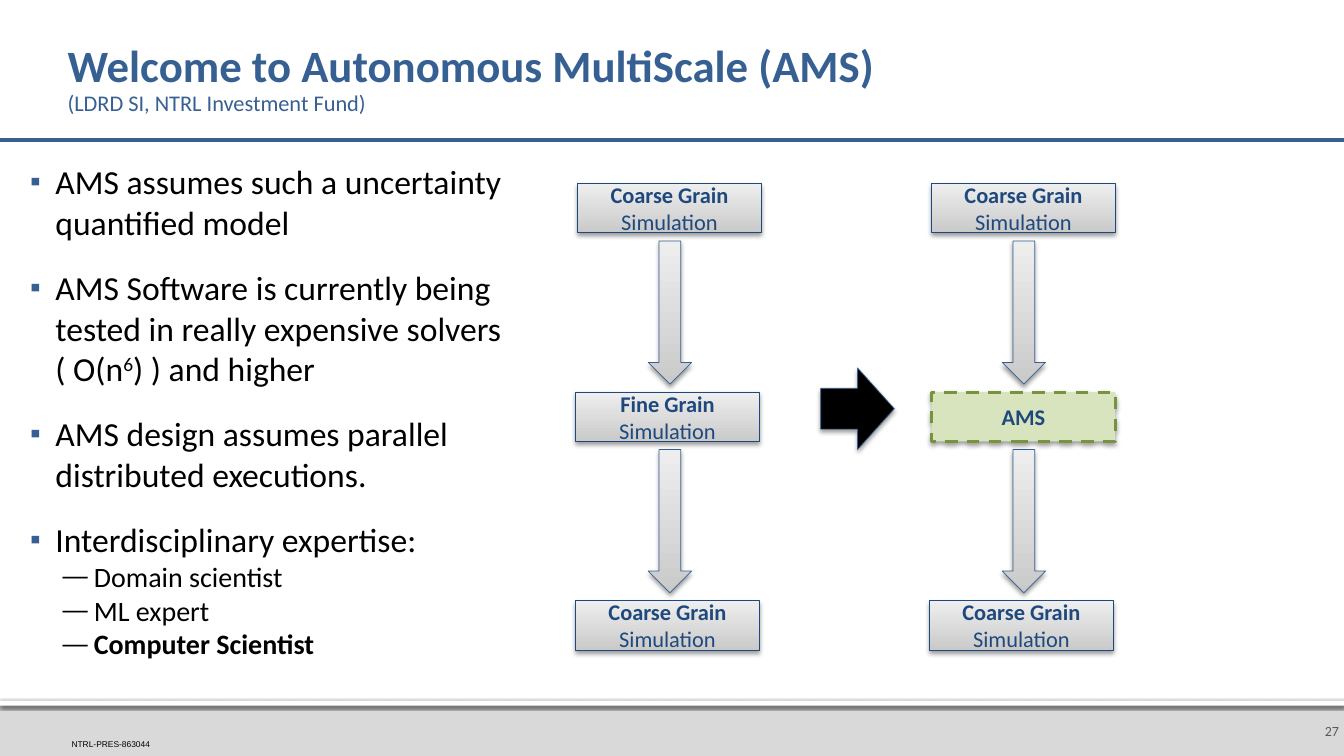
from lxml.etree import SubElement
from pptx import Presentation
from pptx.dml.color import RGBColor
from pptx.enum.dml import MSO_LINE
from pptx.enum.shapes import MSO_CONNECTOR, MSO_SHAPE as SHAPE
from pptx.enum.text import MSO_ANCHOR as ANCHOR, MSO_AUTO_SIZE, PP_ALIGN as ALIGN
from pptx.oxml.ns import qn
from pptx.util import Inches, Pt

BLACK = RGBColor(0x00, 0x00, 0x00)
WHITE = RGBColor(0xFF, 0xFF, 0xFF)
BLUE = RGBColor(0x37, 0x60, 0x92)
NAVY = RGBColor(0x1F, 0x49, 0x7D)
GRAY = RGBColor(0x59, 0x59, 0x59)
FOOTER_GRAY = RGBColor(0xD9, 0xD9, 0xD9)
DARK_SILVER = RGBColor(0xCA, 0xCA, 0xCA)
LIGHT_SILVER = RGBColor(0xEE, 0xEE, 0xEE)
LIGHT_GREEN = RGBColor(0xD7, 0xE4, 0xBD)
GREEN = RGBColor(0x77, 0x93, 0x3C)

POINTS = [
    (0, ["AMS assumes such a uncertainty quantified model"]),
    (0, ["AMS Software is currently being tested in really expensive solvers ( O(n",
         "6", ") ) and higher"]),
    (0, ["AMS design assumes parallel distributed executions."]),
    (0, ["Interdisciplinary expertise:"]),
    (1, ["Domain scientist"]),
    (1, ["ML expert"]),
    (1, ["Computer Scientist"]),
]
COLUMN_X = (5.71, 9.22)
ROW_Y = (1.82, 3.89, 5.96)


def style(r, size, color, bold=False, name="Calibri"):
    f = r.font
    f.size, f.bold, f.name = Pt(size), bold, name
    f.color.rgb = color


def place(s, left, top, width, height):
    s.left, s.top = Inches(left), Inches(top)
    s.width, s.height = Inches(width), Inches(height)


def set_frame(tf, anchor, margins):
    tf.word_wrap = True
    tf.auto_size = MSO_AUTO_SIZE.NONE
    tf.vertical_anchor = anchor
    tf.margin_left, tf.margin_top, tf.margin_right, tf.margin_bottom = map(Inches, margins)


def add_shadow(s, opacity, blur, distance):
    effects = s._element.spPr.find(qn("a:effectLst"))
    shadow = SubElement(effects, qn("a:outerShdw"), blurRad=str(Pt(blur)),
                        dist=str(Pt(distance)), dir="5400000", rotWithShape="0")
    color = SubElement(shadow, qn("a:srgbClr"), val=str(BLACK))
    SubElement(color, qn("a:alpha"), val=str(opacity * 1000))


def add_shape(slide, kind, box, fill=None, line=None, width=0.5):
    s = slide.shapes.add_shape(kind, *map(Inches, box))
    if fill is None:
        s.fill.gradient()
        s.fill.gradient_angle = 90
        for stop, color in zip(s.fill.gradient_stops, (DARK_SILVER, LIGHT_SILVER)):
            stop.color.rgb = color
    else:
        s.fill.solid()
        s.fill.fore_color.rgb = fill
    if line is None:
        s.line.fill.background()
    else:
        s.line.color.rgb = line
        s.line.width = Pt(width)
    s.shadow.inherit = False
    return s


def add_box(slide, left, top, texts, fill=None, line=NAVY, width=0.5):
    s = add_shape(slide, SHAPE.RECTANGLE, (left, top, 1.82, 0.49), fill, line, width)
    add_shadow(s, 38, 3.5, 2)
    set_frame(s.text_frame, ANCHOR.MIDDLE, (0.1, 0.05, 0.1, 0.05))
    p = s.text_frame.paragraphs[0]
    p.alignment = ALIGN.CENTER
    for i, text in enumerate(texts):
        r = p.add_run()
        r.text = text
        style(r, 16, NAVY, bold=i == 0)
    return s


def add_arrow(slide, kind, box, fill=None):
    add_shadow(add_shape(slide, kind, box, fill, BLUE), 38, 3.5, 2)


def add_label(slide, box, text, size, color, name, anchor, align, margins):
    s = slide.shapes.add_textbox(*map(Inches, box))
    set_frame(s.text_frame, anchor, margins)
    s.text_frame.text = text
    p = s.text_frame.paragraphs[0]
    p.alignment = align
    style(p.runs[0], size, color, name=name)


def set_bullet(p, char, color, left, hanging):
    pPr = p._p.get_or_add_pPr()
    pPr.set("marL", str(Inches(left)))
    pPr.set("indent", str(Inches(-hanging)))
    SubElement(SubElement(pPr, qn("a:buClr")), qn("a:srgbClr"), val=str(color))
    SubElement(pPr, qn("a:buSzPct"), val="90000")
    SubElement(pPr, qn("a:buFont"), typeface="Arial")
    SubElement(pPr, qn("a:buChar"), char=char)


def fill_title(title):
    place(title, 0.67, 0.24, 12, 1.1)
    tf = title.text_frame
    set_frame(tf, ANCHOR.MIDDLE, (0, 0.05, 0.05, 0.05))
    tf.text = "Welcome to Autonomous MultiScale (AMS)\n(LDRD SI, NTRL Investment Fund)"
    for p, size, bold in zip(tf.paragraphs, (32, 16), (True, False)):
        p.alignment = ALIGN.LEFT
        p.line_spacing = 0.9
        p.space_before = Pt(0)
        style(p.runs[0], size, BLUE, bold)


def fill_body(body):
    place(body, 0.14, 1.55, 5.06, 5.37)
    tf = body.text_frame
    set_frame(tf, ANCHOR.TOP, (0.1, 0.05, 0.1, 0.05))
    for i, (level, texts) in enumerate(POINTS):
        p = tf.add_paragraph() if i else tf.paragraphs[0]
        p.level = level
        p.space_before = Pt(0 if level else 18)
        if level:
            set_bullet(p, "—", BLACK, 0.69, 0.31)
        else:
            set_bullet(p, "▪", BLUE, 0.31, 0.25)
        for text in texts:
            r = p.add_run()
            r.text = text
            style(r, 20 if level else 24, BLACK, bold=text == "Computer Scientist")
            if text == "6":
                r._r.get_or_add_rPr().set("baseline", "30000")


def add_frame(slide):
    add_shape(slide, SHAPE.RECTANGLE, (0, 6.95, 13.33, 0.55), FOOTER_GRAY)
    strip = add_shape(slide, SHAPE.RECTANGLE, (0, 6.95, 13.33, 0.05), WHITE)
    add_shadow(strip, 60, 2.5, 0.8)
    add_label(slide, (12.87, 7, 0.46, 0.5), "27", 10, GRAY, "Calibri",
              ANCHOR.MIDDLE, ALIGN.RIGHT, (0.1, 0.05, 0.05, 0.05))
    add_label(slide, (0.71, 7.33, 1.27, 0.1), "NTRL-PRES-863044", 6, BLACK, "Arial",
              ANCHOR.BOTTOM, ALIGN.LEFT, (0, 0, 0, 0))
    rule = slide.shapes.add_connector(MSO_CONNECTOR.STRAIGHT, Inches(0), Inches(1.39),
                                      Inches(13.33), Inches(1.39))
    rule.line.color.rgb = BLUE
    rule.line.width = Pt(3)
    SubElement(rule._element.spPr, qn("a:effectLst"))


def add_diagram(slide):
    top, middle, bottom = ROW_Y
    coarse = ("Coarse Grain ", "Simulation")
    for x in COLUMN_X:
        add_box(slide, x + 0.02, top, coarse)
        add_box(slide, x, bottom, coarse)
        for y in (top, middle):
            add_arrow(slide, SHAPE.DOWN_ARROW, (x + 0.72, y + 0.57, 0.43, 1.42))
    before, after = COLUMN_X
    add_box(slide, before, middle, ("Fine Grain ", "Simulation"))
    ams = add_box(slide, after + 0.02, middle, ("AMS",), LIGHT_GREEN, GREEN, 2.25)
    ams.line.dash_style = MSO_LINE.DASH
    add_arrow(slide, SHAPE.RIGHT_ARROW, (8.14, 3.65, 0.73, 0.81), BLACK)


def main():
    prs = Presentation()
    prs.slide_width, prs.slide_height = Inches(13.33), Inches(7.5)
    slide = prs.slides.add_slide(prs.slide_layouts[1])
    fill_title(slide.shapes.title)
    fill_body(slide.placeholders[1])
    add_frame(slide)
    add_diagram(slide)
    prs.save("out.pptx")


if __name__ == "__main__":
    main()
